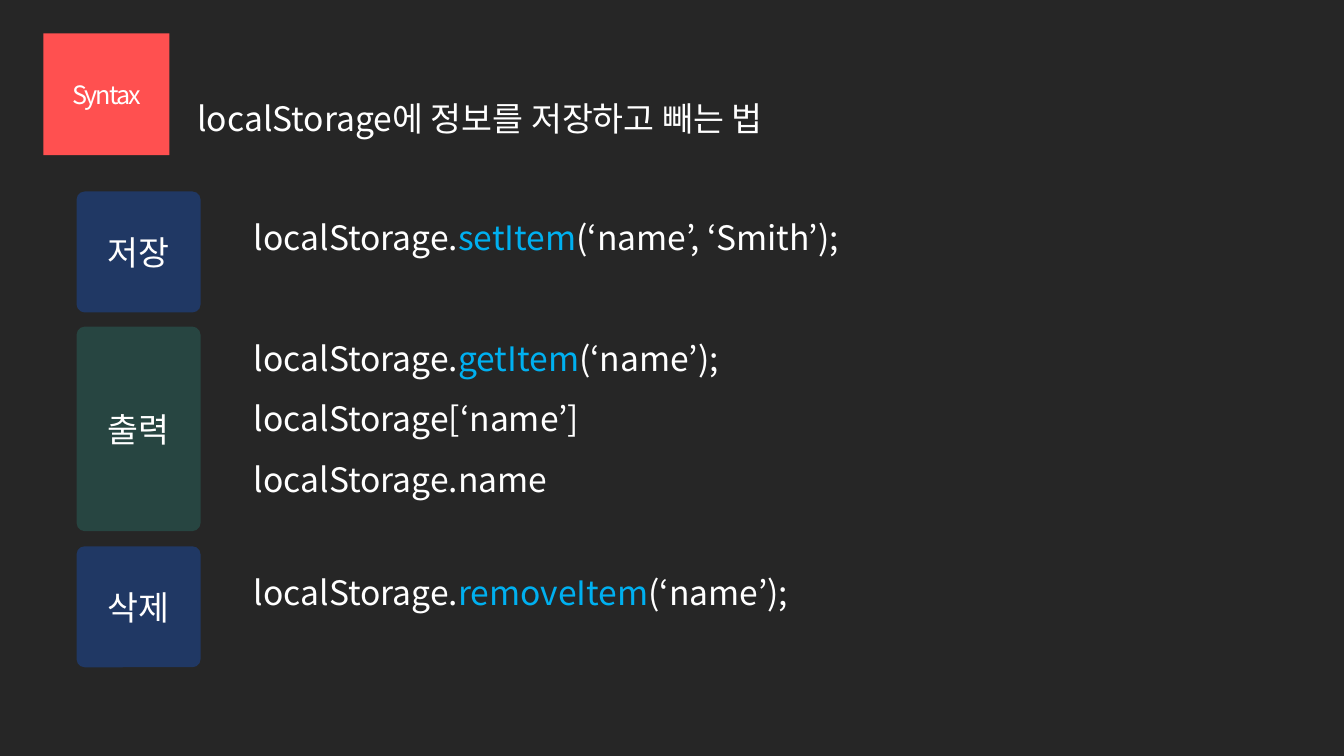
"""Build a slide on storing, reading and removing localStorage items."""
from dataclasses import dataclass

from lxml.etree import SubElement
from pptx import Presentation
from pptx.dml.color import RGBColor
from pptx.enum.shapes import MSO_SHAPE as Shape
from pptx.enum.text import MSO_ANCHOR as Anchor, PP_ALIGN as Align
from pptx.oxml.ns import qn
from pptx.slide import Slide
from pptx.text.text import _Paragraph as Para
from pptx.util import Emu, Pt

FONT = "Noto Sans CJK KR"
SCALE = 9144
WHITE = RGBColor(0xFF, 0xFF, 0xFF)
SKY = RGBColor(0x00, 0xB0, 0xF0)
DARK = RGBColor(0x26, 0x26, 0x26)
NAVY = RGBColor(0x20, 0x38, 0x64)
GREEN = RGBColor(0x27, 0x45, 0x41)
CORAL = RGBColor(0xFF, 0x50, 0x50)

Line = list[tuple[str, RGBColor]]


@dataclass(frozen=True)
class Box:
    """Place and size in px."""
    x: int
    y: int
    w: int
    h: int

    def emu(self) -> tuple[Emu, ...]:
        """Give left, top, width and height in EMU."""
        return tuple(Emu(n * SCALE) for n in (self.x, self.y, self.w, self.h))


@dataclass(frozen=True)
class Tile:
    """Filled square with a centred label."""
    label: str
    box: Box
    fill: RGBColor
    round: float = 0.067
    size: int = 24
    before: int = 0
    track: int = 0


@dataclass(frozen=True)
class Row:
    """One action: its tile and its code lines."""
    tile: Tile
    code: Box
    lines: list[Line]


def call(name: str, args: str) -> Line:
    """Split a method call into coloured parts."""
    return [("localStorage.", WHITE), (name, SKY), (args, WHITE)]


def plain(text: str) -> Line:
    """Make a line of one white part."""
    return [(text, WHITE)]


def add_run(para: Para, text: str, color: RGBColor, size: int = 24, track: int = 0) -> None:
    """Add one styled run."""
    run = para.add_run()
    run.text = text
    run.font.size = Pt(size)
    run.font.color.rgb = color
    run.font.name = FONT
    props = run.font._element
    SubElement(props, qn("a:ea")).set("typeface", FONT)
    if track:
        props.set("spc", str(track))


def add_tile(slide: Slide, tile: Tile) -> None:
    """Draw a tile with its label."""
    shape = slide.shapes.add_shape(Shape.ROUNDED_RECTANGLE, *tile.box.emu())
    shape.adjustments[0] = tile.round
    shape.shadow.inherit = False
    shape.fill.solid()
    shape.fill.fore_color.rgb = tile.fill
    shape.line.fill.background()
    frame = shape.text_frame
    frame.word_wrap = True
    frame.vertical_anchor = Anchor.MIDDLE
    para = frame.paragraphs[0]
    para.alignment = Align.CENTER
    para.space_before = Pt(tile.before)
    add_run(para, tile.label, WHITE, tile.size, tile.track)


def add_text(slide: Slide, box: Box, lines: list[Line]) -> None:
    """Draw lines of text at one and a half spacing."""
    frame = slide.shapes.add_textbox(*box.emu()).text_frame
    frame.word_wrap = True
    for i, line in enumerate(lines):
        para = frame.add_paragraph() if i else frame.paragraphs[0]
        para.line_spacing = 1.5
        for text, color in line:
            add_run(para, text, color)


TITLE = "localStorage에 정보를 저장하고 빼는 법"
BADGE = Tile("Syntax", Box(43, 33, 125, 121), CORAL, round=0, size=18, before=10, track=-150)
ROWS = [
    Row(Tile("저장", Box(76, 190, 123, 120), NAVY), Box(242, 190, 876, 71),
        [call("setItem", "(‘name’, ‘Smith’);")]),
    Row(Tile("출력", Box(76, 324, 123, 203), GREEN), Box(242, 310, 876, 252),
        [call("getItem", "(‘name’);"), plain("localStorage[‘name’]"),
         plain("localStorage.name")]),
    Row(Tile("삭제", Box(76, 542, 123, 120), NAVY), Box(242, 542, 876, 71),
        [call("removeItem", "(‘name’);")]),
]


def main() -> None:
    """Build and save the slide."""
    deck = Presentation()
    deck.slide_width, deck.slide_height = Box(0, 0, 1333, 750).emu()[2:]
    slide = deck.slides.add_slide(deck.slide_layouts[6])
    back = slide.background.fill
    back.solid()
    back.fore_color.rgb = DARK
    add_text(slide, Box(186, 72, 1092, 97), [plain(TITLE)])
    for row in ROWS:
        add_tile(slide, row.tile)
        add_text(slide, row.code, row.lines)
    add_tile(slide, BADGE)
    deck.save("out.pptx")


if __name__ == "__main__":
    main()
